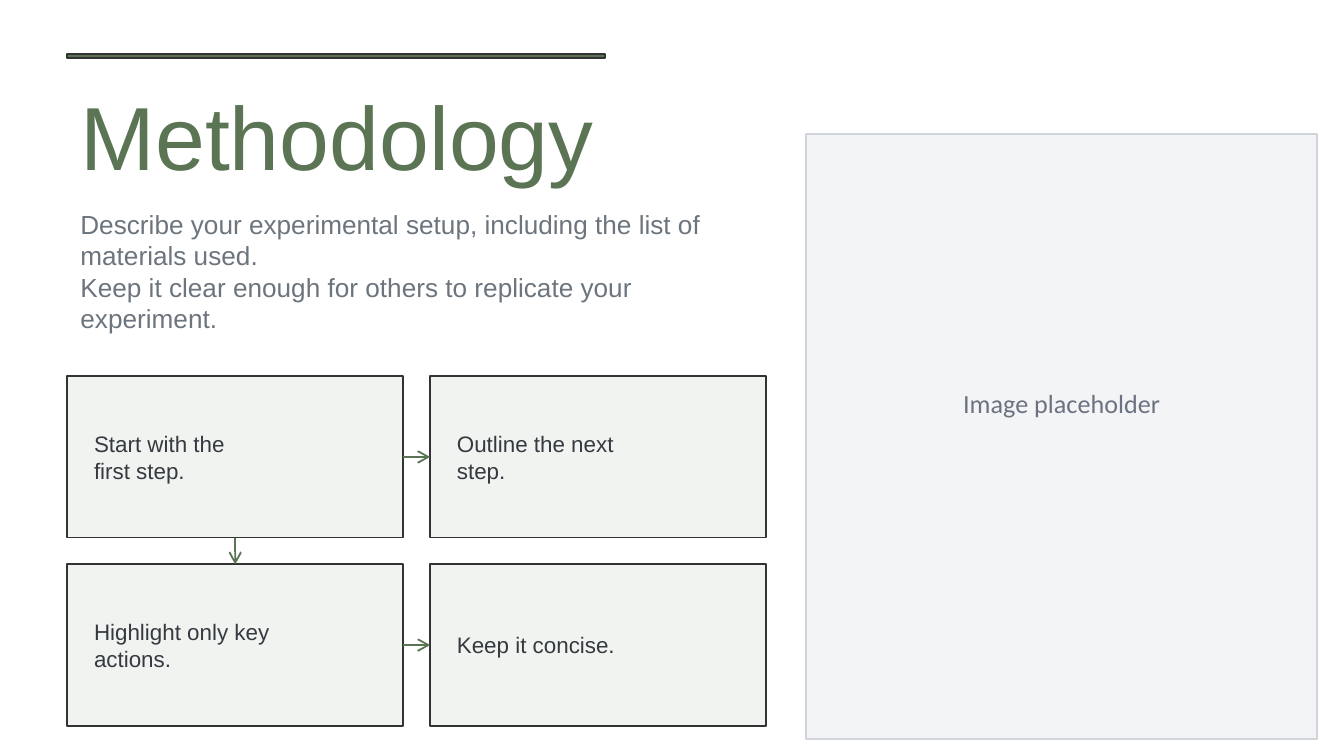
import dataclasses

import lxml.etree
import pptx
import pptx.dml.color
import pptx.enum.shapes
import pptx.enum.text
import pptx.oxml.ns
import pptx.util

Inches = pptx.util.Inches
ANCHOR = pptx.enum.text.MSO_ANCHOR
ALIGN = pptx.enum.text.PP_ALIGN
TOP, LEFT, BOTTOM, RIGHT = 0, 1, 2, 3


@dataclasses.dataclass(frozen=True)
class Theme:
    """Colours, fonts and type sizes of the slide."""
    accent: str = "5A7454"
    outline: str = "333333"
    body: str = "6C757D"
    step_fill: str = "F0F3F0"
    step_text: str = "343A40"
    frame_fill: str = "F3F4F6"
    frame_line: str = "D1D5DB"
    frame_text: str = "6B7280"
    font: str = "Arial"
    frame_font: str = "Calibri"
    title_size: int = 48
    body_size: int = 14
    step_size: int = 12
    line_width: int = 1


THEME = Theme()


def rgb(value):
    """Turn a hex string into a colour."""
    return pptx.dml.color.RGBColor.from_string(value)


def write(text_frame, text, size, color, font=THEME.font, align=ALIGN.LEFT,
          anchor=ANCHOR.MIDDLE, inset=0.1, bottom=0.05):
    """Fill a text frame with one formatted paragraph per line of text."""
    text_frame.word_wrap = True
    text_frame.auto_size = pptx.enum.text.MSO_AUTO_SIZE.NONE
    text_frame.vertical_anchor = anchor
    text_frame.margin_left = text_frame.margin_right = Inches(inset)
    text_frame.margin_bottom = Inches(bottom)
    text_frame.text = text
    for paragraph in text_frame.paragraphs:
        paragraph.alignment = align
        for run in paragraph.runs:
            run.font.name = font
            run.font.size = pptx.util.Pt(size)
            run.font.color.rgb = rgb(color)


def add_box(slide, left, top, width, height, fill, line):
    """Add a flat outlined rectangle."""
    shape = slide.shapes.add_shape(
        pptx.enum.shapes.MSO_SHAPE.RECTANGLE,
        Inches(left), Inches(top), Inches(width), Inches(height))
    shape.shadow.inherit = False
    shape.fill.solid()
    shape.fill.fore_color.rgb = rgb(fill)
    shape.line.color.rgb = rgb(line)
    shape.line.width = pptx.util.Pt(THEME.line_width)
    return shape


def add_arrow(slide, start, start_side, end, end_side):
    """Join two boxes with an arrow between the given sides."""
    connector = slide.shapes.add_connector(
        pptx.enum.shapes.MSO_CONNECTOR.STRAIGHT, 0, 0, 0, 0)
    connector.begin_connect(start, start_side)
    connector.end_connect(end, end_side)
    connector.line.color.rgb = rgb(THEME.accent)
    connector.line.width = pptx.util.Pt(THEME.line_width)
    qn = pptx.oxml.ns.qn
    properties = connector._element.spPr
    lxml.etree.SubElement(properties.find(qn("a:ln")), qn("a:tailEnd"), type="arrow")
    lxml.etree.SubElement(properties, qn("a:effectLst"))


def add_heading(slide, left, top, width):
    """Place the accent rule, the title and the description."""
    add_box(slide, left, top, 4, 0.03, THEME.accent, THEME.outline)
    title = slide.shapes.title
    title.left, title.top = Inches(left), Inches(top + 0.2)
    title.width, title.height = Inches(width), Inches(0.8)
    write(title.text_frame, "Methodology", THEME.title_size, THEME.accent)
    description = slide.shapes.add_textbox(
        Inches(left), Inches(top + 1.1), Inches(width - 0.5), Inches(1))
    write(description.text_frame,
          "Describe your experimental setup, including the list of materials used.\n"
          "Keep it clear enough for others to replicate your experiment.",
          THEME.body_size, THEME.body, anchor=ANCHOR.TOP)


def add_steps(slide, left, top, width, height, gap=0.2):
    """Place the four steps in a two-by-two grid joined by arrows."""
    texts = ("Start with the\nfirst step.", "Outline the next\nstep.",
             "Highlight only key\nactions.", "Keep it concise.")
    box_width, box_height = (width - gap) / 2, (height - gap) / 2
    boxes = []
    for index, text in enumerate(texts):
        row, column = divmod(index, 2)
        box = add_box(slide, left + column * (box_width + gap),
                      top + row * (box_height + gap), box_width, box_height,
                      THEME.step_fill, THEME.outline)
        write(box.text_frame, text, THEME.step_size, THEME.step_text, inset=0.2)
        boxes.append(box)
    first, second, third, fourth = boxes
    add_arrow(slide, first, RIGHT, second, LEFT)
    add_arrow(slide, first, BOTTOM, third, TOP)
    add_arrow(slide, third, RIGHT, fourth, LEFT)


def add_image_frame(slide, left, top, width, height):
    """Place the frame that holds room for an image."""
    frame = add_box(slide, left, top, width, height, THEME.frame_fill, THEME.frame_line)
    write(frame.text_frame, "Image placeholder", THEME.body_size, THEME.frame_text,
          font=THEME.frame_font, align=ALIGN.CENTER, bottom=0.55)


def main():
    """Build and save the presentation."""
    presentation = pptx.Presentation()
    presentation.slide_width = Inches(10)
    presentation.slide_height = presentation.slide_width * 9 // 16
    slide = presentation.slides.add_slide(presentation.slide_layouts.get_by_name("Title Only"))
    add_heading(slide, 0.5, 0.4, 5.5)
    add_steps(slide, 0.5, 2.8, 5.2, 2.6)
    add_image_frame(slide, 6, 1, 3.8, 4.5)
    presentation.save("out.pptx")


if __name__ == "__main__":
    main()
